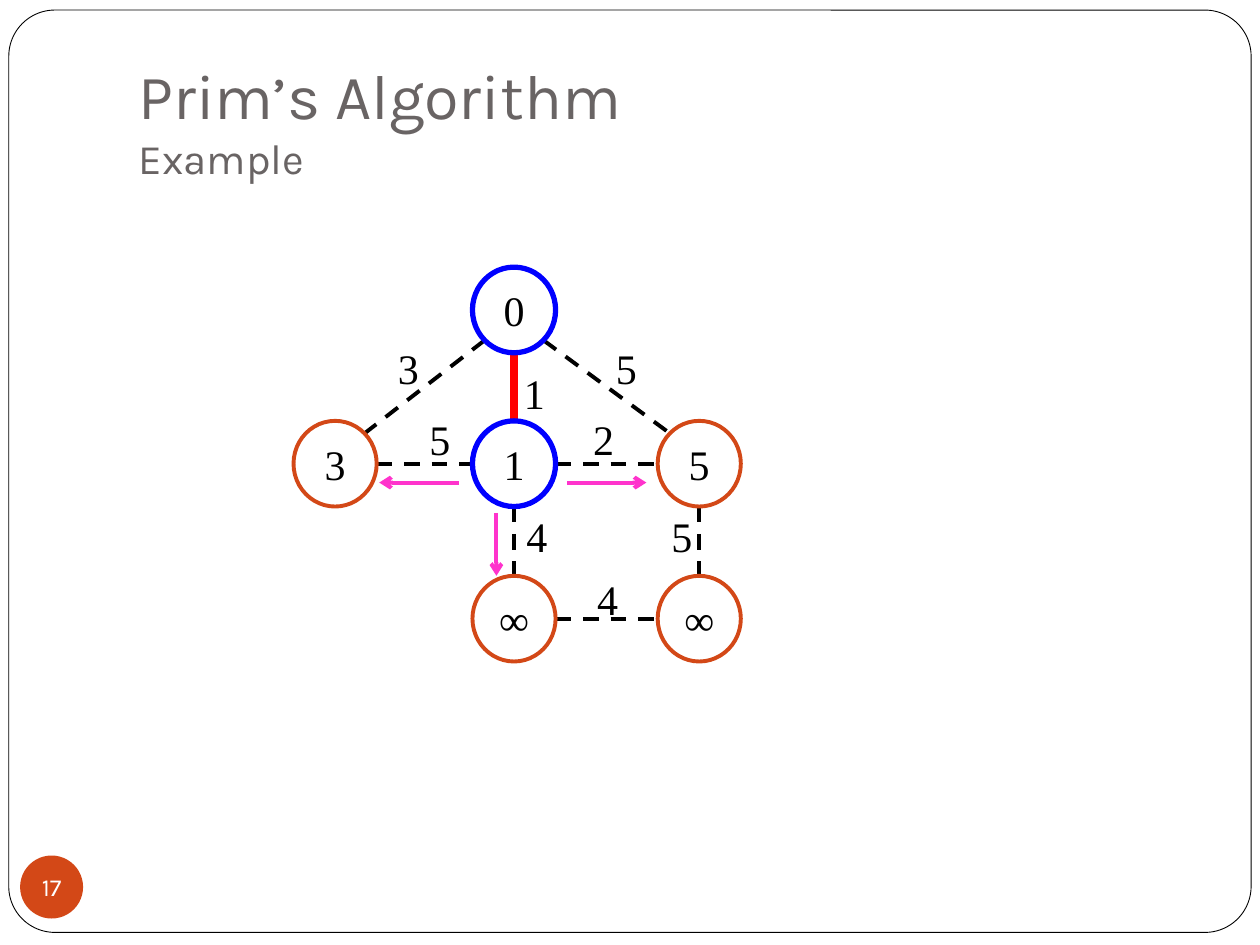
from dataclasses import dataclass
from math import hypot

from lxml import etree
from pptx import Presentation
from pptx.dml.color import RGBColor
from pptx.enum import dml, shapes, text
from pptx.oxml import ns
from pptx.util import Inches, Pt


@dataclass(frozen=True)
class Theme:
    white: str = "FFFFFF"
    black: str = "000000"
    title: str = "696464"
    accent: str = "D34817"
    visited: str = "0000FF"
    tree: str = "FF0000"
    scan: str = "FF33CC"
    heading_font: str = "Karla"
    graph_font: str = "Times New Roman"
    title_size: float = 36
    subtitle_size: float = 24
    graph_size: float = 24
    page_size: float = 14
    frame_line: float = 0.5
    thin: float = 2.25
    visited_line: float = 3
    tree_line: float = 4.5


T = Theme()
NODE_W, NODE_H = 0.66, 0.68
LABEL_W, LABEL_H = 0.36, 0.5
LEFT, MIDDLE, RIGHT = 2.33, 3.75, 5.22
TOP, CENTRE, BOTTOM = 2.12, 3.34, 4.57


@dataclass(frozen=True)
class Node:
    key: str
    x: float
    y: float
    visited: bool = False

    def rim(self, dx: int, dy: int) -> tuple[float, float]:
        """Point on the outline in direction (dx, dy)."""
        n = hypot(dx, dy)
        return (self.x + NODE_W / 2 * (1 + dx / n),
                self.y + NODE_H / 2 * (1 + dy / n))


@dataclass(frozen=True)
class Edge:
    start: str
    end: str
    direction: tuple[int, int]
    weight: str
    label_at: tuple[float, float]
    in_tree: bool = False


@dataclass(frozen=True)
class Arrow:
    start: tuple[float, float]
    end: tuple[float, float]


NODES = {
    "root": Node("0", MIDDLE, TOP, True),
    "west": Node("3", LEFT, CENTRE),
    "hub": Node("1", MIDDLE, CENTRE, True),
    "east": Node("5", RIGHT, CENTRE),
    "south": Node("∞", MIDDLE, BOTTOM),
    "corner": Node("∞", RIGHT, BOTTOM),
}
EDGES = [
    Edge("root", "west", (-1, 1), "3", (3.06, 2.67)),
    Edge("root", "east", (1, 1), "5", (4.79, 2.67)),
    Edge("root", "hub", (0, 1), "1", (4.06, 2.87), True),
    Edge("west", "hub", (1, 0), "5", (3.31, 3.23)),
    Edge("hub", "east", (1, 0), "2", (4.61, 3.23)),
    Edge("hub", "south", (0, 1), "4", (4.08, 4)),
    Edge("east", "corner", (0, 1), "5", (5.23, 4)),
    Edge("south", "corner", (1, 0), "4", (4.64, 4.5)),
]
ARROWS = [
    Arrow((4.5, 3.83), (5.13, 3.83)),
    Arrow((3.64, 3.83), (3.01, 3.83)),
    Arrow((3.94, 4.07), (3.94, 4.57)),
]


def rgb(colour: str) -> RGBColor:
    return RGBColor.from_string(colour)


def style_run(r, font: str, size: float, colour: str) -> None:
    r.font.name, r.font.size = font, Pt(size)
    r.font.color.rgb = rgb(colour)


def set_line(line, colour: str, width: float) -> None:
    line.color.rgb = rgb(colour)
    line.width = Pt(width)


def add_outline(s, kind, x: float, y: float, w: float, h: float):
    """Add a preset shape without shadow, fill or line."""
    sp = s.shapes.add_shape(kind, Inches(x), Inches(y), Inches(w), Inches(h))
    sp.shadow.inherit = False
    sp.fill.background()
    sp.line.fill.background()
    return sp


def add_line(s, start, end, colour: str, width: float,
             dashed: bool = False, arrow: bool = False) -> None:
    c = s.shapes.add_connector(shapes.MSO_CONNECTOR.STRAIGHT,
                               *map(Inches, (*start, *end)))
    set_line(c.line, colour, width)
    if dashed:
        c.line.dash_style = dml.MSO_LINE.DASH
    if arrow:
        tail = etree.SubElement(c.line._get_or_add_ln(), ns.qn("a:tailEnd"))
        tail.set("type", "arrow")
    etree.SubElement(c.element.spPr, ns.qn("a:effectLst"))


def add_centred(sp, value: str, font: str, size: float, colour: str) -> None:
    tf = sp.text_frame
    tf.text = value
    tf.vertical_anchor = text.MSO_ANCHOR.MIDDLE
    p = tf.paragraphs[0]
    p.alignment = text.PP_ALIGN.CENTER
    style_run(p.runs[0], font, size, colour)


def add_node(s, node: Node) -> None:
    sp = add_outline(s, shapes.MSO_SHAPE.OVAL, node.x, node.y, NODE_W, NODE_H)
    if node.visited:
        set_line(sp.line, T.visited, T.visited_line)
    else:
        set_line(sp.line, T.accent, T.thin)
    add_centred(sp, node.key, T.graph_font, T.graph_size, T.black)


def add_edge(s, edge: Edge) -> None:
    dx, dy = edge.direction
    start, end = NODES[edge.start].rim(dx, dy), NODES[edge.end].rim(-dx, -dy)
    if edge.in_tree:
        add_line(s, start, end, T.tree, T.tree_line)
    else:
        add_line(s, start, end, T.black, T.thin, dashed=True)


def add_weight(s, edge: Edge) -> None:
    box = s.shapes.add_textbox(*map(Inches, (*edge.label_at, LABEL_W, LABEL_H)))
    tf = box.text_frame
    tf.text = edge.weight
    tf.word_wrap = False
    style_run(tf.paragraphs[0].runs[0], T.graph_font, T.graph_size, T.black)


def add_title(s) -> None:
    title = s.shapes.title
    title.left, title.top = Inches(1), Inches(0.3)
    title.width, title.height = Inches(8.5), Inches(1.25)
    tf = title.text_frame
    tf.text = "Prim’s Algorithm\vExample"
    tf.vertical_anchor = text.MSO_ANCHOR.BOTTOM
    tf.margin_bottom = Inches(0.1)
    p = tf.paragraphs[0]
    p.alignment = text.PP_ALIGN.LEFT
    for r, size in zip(p.runs, (T.title_size, T.subtitle_size)):
        style_run(r, T.heading_font, size, T.title)


def add_frame(s) -> None:
    """Add the rounded page border behind the title."""
    sp = add_outline(s, shapes.MSO_SHAPE.ROUNDED_RECTANGLE, 0.07, 0.08, 9.86, 7.32)
    sp.adjustments[0] = 0.05
    sp.fill.solid()
    sp.fill.fore_color.rgb = rgb(T.white)
    set_line(sp.line, T.black, T.frame_line)
    s.shapes.title.element.addprevious(sp.element)


def add_page_number(s, number: int) -> None:
    sp = add_outline(s, shapes.MSO_SHAPE.OVAL, 0.16, 6.79, 0.5, 0.5)
    sp.fill.solid()
    sp.fill.fore_color.rgb = rgb(T.accent)
    add_centred(sp, str(number), T.heading_font, T.page_size, T.white)
    tf = sp.text_frame
    tf.word_wrap = False
    tf.margin_left = tf.margin_right = tf.margin_top = tf.margin_bottom = 0


def main() -> None:
    prs = Presentation()
    prs.slide_width, prs.slide_height = Inches(10), Inches(7.5)
    s = prs.slides.add_slide(prs.slide_layouts.get_by_name("Title Only"))
    add_frame(s)
    add_title(s)
    add_page_number(s, 17)
    for edge in EDGES:
        add_edge(s, edge)
    for edge in EDGES:
        add_weight(s, edge)
    for node in NODES.values():
        add_node(s, node)
    for arrow in ARROWS:
        add_line(s, arrow.start, arrow.end, T.scan, T.thin, arrow=True)
    prs.save("out.pptx")


if __name__ == "__main__":
    main()
